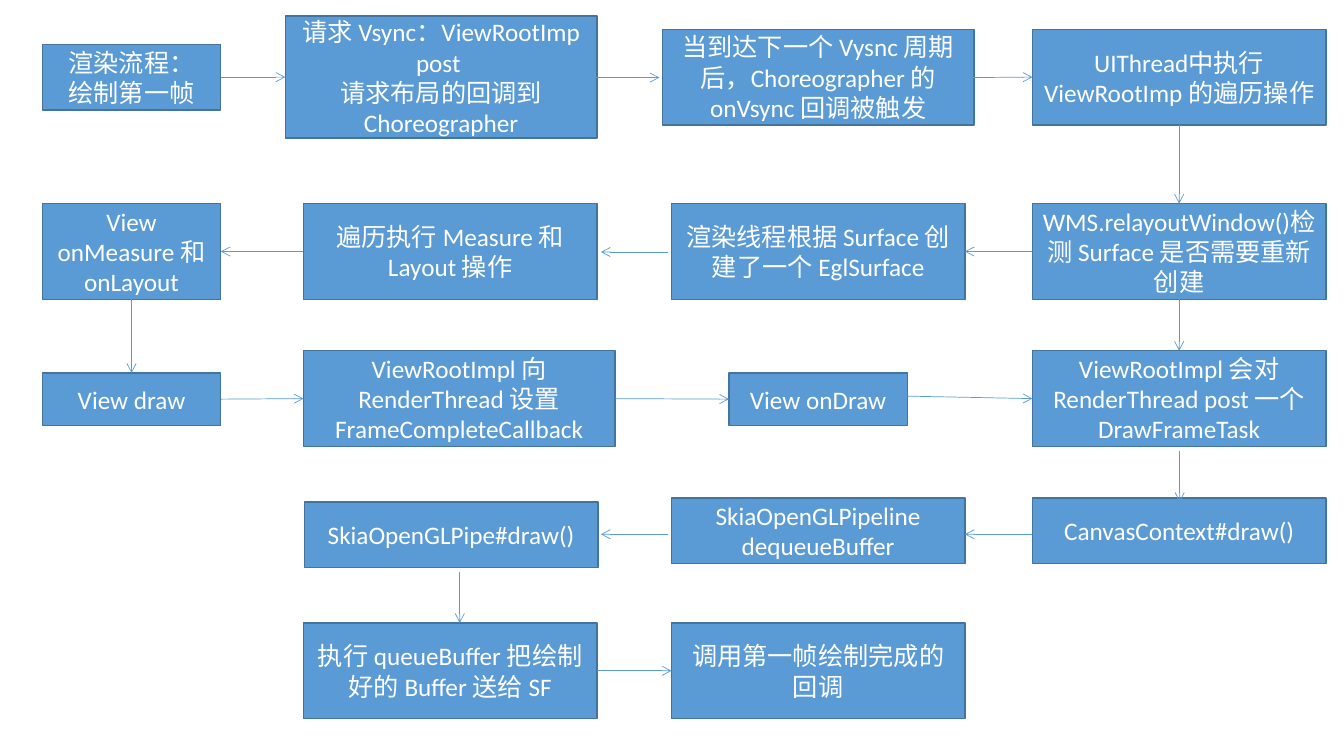
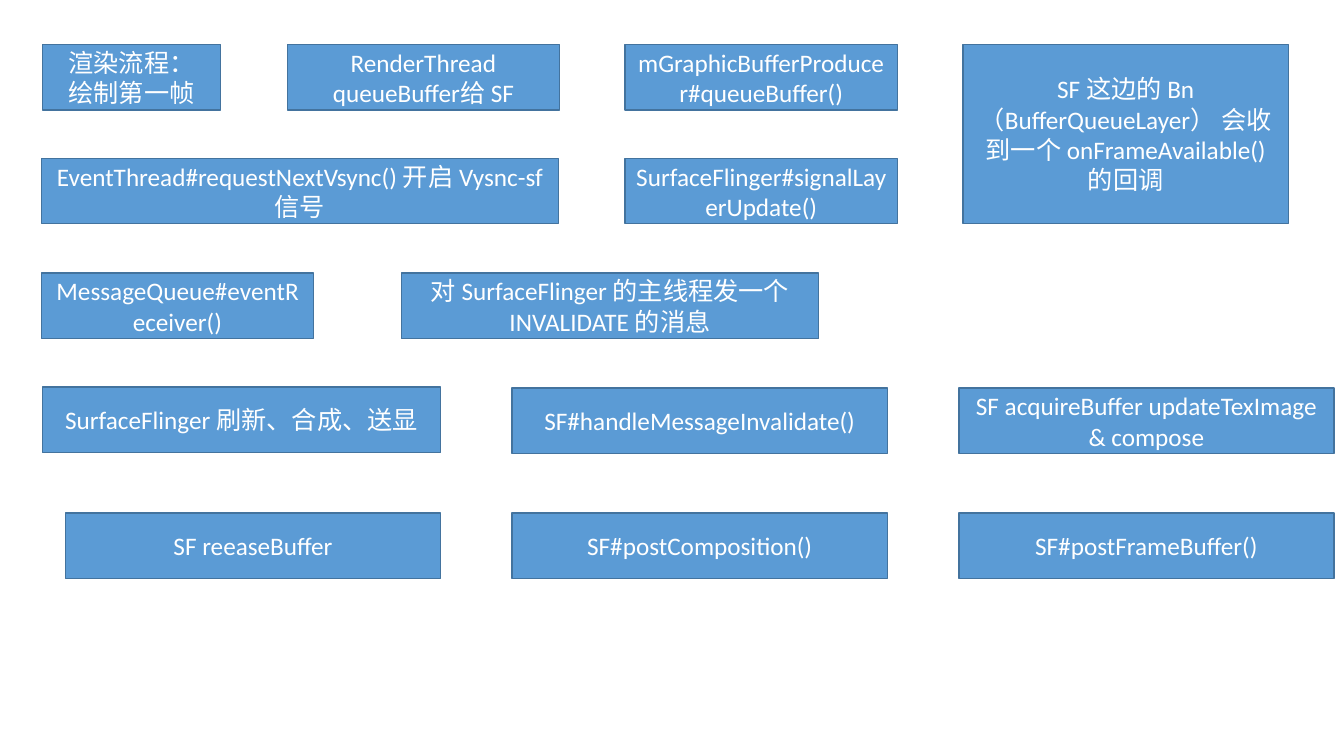
import pptx
import pptx.util
import pptx.dml.color
import pptx.enum.shapes
import pptx.enum.text
import pptx.oxml.ns
import lxml.etree

Inches = pptx.util.Inches
COLORS = {"fill": "5B9BD5", "border": "43739E", "text": "FFFFFF", "arrow": "5B9BD5"}
TOP, LEFT, BOTTOM, RIGHT = range(4)


def rgb(name):
    return pptx.dml.color.RGBColor.from_string(COLORS[name])


def write_text(frame, text, *, size=18, font="Calibri", color="text",
               align=pptx.enum.text.PP_ALIGN.CENTER):
    """Write a string, or a tuple of strings as paragraphs; a newline breaks a line."""
    frame.word_wrap = True
    frame.vertical_anchor = pptx.enum.text.MSO_ANCHOR.MIDDLE
    for index, content in enumerate((text,) if isinstance(text, str) else text):
        paragraph = frame.add_paragraph() if index else frame.paragraphs[0]
        paragraph.text = content
        paragraph.alignment = align
        for run in paragraph.runs:
            run.font.size = pptx.util.Pt(size)
            run.font.name = font
            run.font.color.rgb = rgb(color)


class FlowDeck:
    def __init__(self):
        self.prs = pptx.Presentation()
        self.prs.slide_width = Inches(13.33)
        self.prs.slide_height = Inches(7.5)
        self.slide = None

    def new_flow(self):
        """Start a slide with the step that opens every flow, and return that step."""
        self.slide = self.prs.slides.add_slide(self.prs.slide_layouts[6])
        return self.step(("渲染流程：", "绘制第一帧"), 0.42, 0.44, 1.77)

    def step(self, text, left, top, width, height=0.65):
        box = self.slide.shapes.add_shape(
            pptx.enum.shapes.MSO_SHAPE.RECTANGLE,
            Inches(left), Inches(top), Inches(width), Inches(height))
        box.shadow.inherit = False
        box.fill.solid()
        box.fill.fore_color.rgb = rgb("fill")
        box.line.color.rgb = rgb("border")
        box.line.width = pptx.util.Pt(1)
        write_text(box.text_frame, text)
        return box

    def arrow(self, start, end):
        """Draw an arrow; each end is an (x, y) point or a (step, side) joint."""
        line = self.slide.shapes.add_connector(
            pptx.enum.shapes.MSO_CONNECTOR.STRAIGHT, 0, 0, 0, 0)
        if isinstance(start[0], float):
            line.begin_x, line.begin_y = map(Inches, start)
        else:
            line.begin_connect(*start)
        if isinstance(end[0], float):
            line.end_x, line.end_y = map(Inches, end)
        else:
            line.end_connect(*end)
        line.line.color.rgb = rgb("arrow")
        line.line.width = pptx.util.Pt(0.5)
        qn = pptx.oxml.ns.qn
        properties = line.line._get_or_add_ln()
        lxml.etree.SubElement(properties, qn("a:tailEnd"), type="arrow")
        lxml.etree.SubElement(properties.getparent(), qn("a:effectLst"))


def draw_first_frame(deck):
    first, second, third, fourth = 0.42, 3.01, 6.66, 10.24
    narrow, wide, wider = 1.77, 2.91, 3.09
    tall, low = 0.95, 0.52

    start = deck.new_flow()
    request = deck.step("请求 Vsync：ViewRootImp post \n请求布局的回调到 Choreographer",
                        2.83, 0.16, wider, 1.21)
    deck.step("当到达下一个 Vysnc 周期后，Choreographer 的 onVsync 回调被触发",
              6.57, 0.29, wider, tall)
    traversal = deck.step("UIThread中执行ViewRootImp 的遍历操作", fourth, 0.29, wide, tall)

    relayout = deck.step("WMS.relayoutWindow()检测 Surface 是否需要重新创建",
                         fourth, 2.02, wide, tall)
    egl_surface = deck.step("渲染线程根据 Surface 创建了一个 EglSurface",
                            third, 2.02, wide, tall)
    layout = deck.step("遍历执行 Measure 和 Layout 操作", second, 2.02, wide, tall)
    measure = deck.step("View onMeasure 和 onLayout", first, 2.02, narrow, tall)

    draw = deck.step("View draw", first, 3.7, narrow, low)
    callback = deck.step("ViewRootImpl 向 RenderThread 设置FrameCompleteCallback",
                         second, 3.48, wider, tall)
    on_draw = deck.step("View onDraw", 7.23, 3.7, narrow, low)
    frame_task = deck.step("ViewRootImpl 会对 RenderThread post 一个 DrawFrameTask",
                           fourth, 3.48, wide, tall)

    deck.step("CanvasContext#draw()", fourth, 4.94, wide)
    deck.step("SkiaOpenGLPipeline dequeueBuffer", third, 4.94, wide)
    deck.step("SkiaOpenGLPipe#draw()", 3.02, 4.98, wide)

    queue = deck.step("执行 queueBuffer 把绘制好的 Buffer 送给 SF", second, 6.18, wide, tall)
    done = deck.step("调用第一帧绘制完成的回调", third, 6.18, wide, tall)

    for begin, end in [
        ((start, RIGHT), (request, LEFT)),
        ((5.89, 0.77), (6.54, 0.77)),
        ((9.6, 0.77), (traversal, LEFT)),
        ((traversal, BOTTOM), (relayout, TOP)),
        ((relayout, LEFT), (egl_surface, RIGHT)),
        ((6.63, 2.5), (5.96, 2.5)),
        ((layout, LEFT), (measure, RIGHT)),
        ((measure, BOTTOM), (draw, TOP)),
        ((draw, RIGHT), (callback, LEFT)),
        ((callback, RIGHT), (on_draw, LEFT)),
        ((9.0, 3.93), (frame_task, LEFT)),
        ((relayout, BOTTOM), (frame_task, TOP)),
        ((11.7, 4.47), (11.7, 4.98)),
        ((10.24, 5.3), (9.57, 5.3)),
        ((6.63, 5.3), (5.96, 5.3)),
        ((4.56, 5.67), (4.56, 6.18)),
        ((queue, RIGHT), (done, LEFT)),
    ]:
        deck.arrow(begin, end)


def draw_composition(deck):
    deck.new_flow()
    for text, left, top, width, height in [
        ("RenderThread queueBuffer给 SF", 2.85, 0.44, 2.7, 0.65),
        ("mGraphicBufferProducer#queueBuffer()", 6.2, 0.44, 2.7, 0.65),
        ("SF 这边的 Bn（BufferQueueLayer） 会收到一个 onFrameAvailable() 的回调",
         9.55, 0.44, 3.23, 1.78),
        ("SurfaceFlinger#signalLayerUpdate()", 6.2, 1.57, 2.7, 0.65),
        ("EventThread#requestNextVsync() 开启 Vysnc-sf 信号", 0.41, 1.57, 5.13, 0.65),
        ("MessageQueue#eventReceiver()", 0.41, 2.71, 2.7, 0.65),
        ("对 SurfaceFlinger 的主线程发一个 INVALIDATE 的消息", 3.98, 2.71, 4.14, 0.65),
        ("SurfaceFlinger 刷新、合成、送显", 0.42, 3.84, 3.95, 0.65),
    ]:
        deck.step(text, left, top, width, height)

    buffer_left, buffer_pitch, buffer_width = 0.65, 4.43, 3.72
    for text, column, top in [
        ("SF#handleMessageInvalidate()", 1, 3.85),
        ("SF acquireBuffer updateTexImage & compose", 2, 3.85),
        ("SF#postFrameBuffer()", 2, 5.09),
        ("SF#postComposition()", 1, 5.09),
        ("SF reeaseBuffer", 0, 5.09),
    ]:
        deck.step(text, buffer_left + column * buffer_pitch, top, buffer_width)


def main():
    deck = FlowDeck()
    draw_first_frame(deck)
    draw_composition(deck)
    deck.prs.save("out.pptx")


if __name__ == "__main__":
    main()
